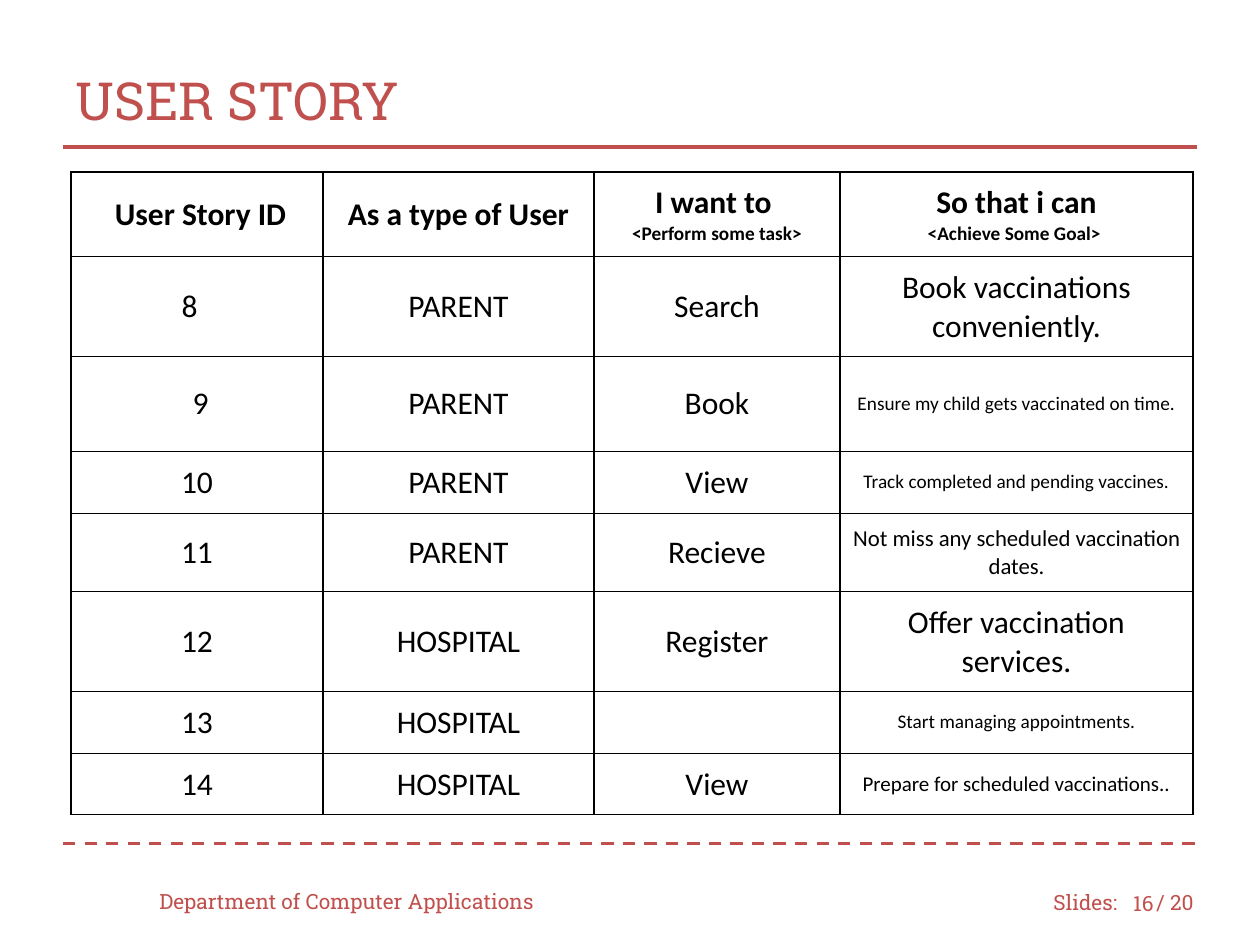
from dataclasses import dataclass

import pptx
import pptx.dml.color
import pptx.enum.dml
import pptx.enum.shapes
import pptx.enum.text
import pptx.oxml
import pptx.oxml.ns
import pptx.util
from lxml import etree

EMU_PER_PX = 914400 / 126
COLORS = {"accent": "C0504D", "ink": "000000", "paper": "FFFFFF"}
HEADING_FONT, TABLE_FONT = "Roboto Slab", "Calibri"
ALIGN = pptx.enum.text.PP_ALIGN
MIDDLE = pptx.enum.text.MSO_ANCHOR.MIDDLE
CELL_MARGIN = 12


@dataclass
class Label:
    text: str
    left: int
    top: int
    width: int
    height: int = 50
    size: int = 12
    align: ALIGN = ALIGN.LEFT


@dataclass
class Rule:
    y: int
    dashed: bool = False


@dataclass
class Story:
    number: str
    user: str
    task: str
    goal: str
    goal_size: int
    height: int
    number_shift: int = 0  # extra right margin of the first cell


LABELS = [
    Label("USER STORY", 63, 42, 1134, 116, 30),
    Label("Department of Computer Applications", 147, 876, 420),
    Label("Slides:", 1041, 877, 95),
    Label("16", 1113, 878, 53, align=ALIGN.RIGHT),
    Label("/ 20", 1144, 877, 73),
]
RULES = [Rule(147), Rule(844, dashed=True)]

TABLE_LEFT, TABLE_TOP = 71, 172
COLUMN_WIDTHS = [252, 271, 246, 353]
HEADER_HEIGHT = 78
HEADERS = [
    [(" User Story ID", 18)],
    [("As a type of User", 18)],
    [("I want to ", 18), ("<Perform some task>", 11)],
    [("So that i can", 18), ("<Achieve Some Goal> ", 11)],
]
STORIES = [
    Story("8", "PARENT", "Search", "Book vaccinations conveniently.", 18, 86, 15),
    Story(" 9", "PARENT", "Book", "Ensure my child gets vaccinated on time.", 11, 95),
    Story("10", "PARENT", "View", "Track completed and pending vaccines.", 11, 55),
    Story("11", "PARENT", "Recieve", "Not miss any scheduled vaccination dates.", 13, 55),
    Story("12", "HOSPITAL", "Register", "Offer vaccination services.", 18, 72),
    Story("13", "HOSPITAL", "", "Start managing appointments.", 11, 59),
    Story("14", "HOSPITAL", "View", "Prepare for scheduled vaccinations..", 12, 55),
]


def px(value: int) -> int:
    return round(value * EMU_PER_PX)


def rgb(name: str) -> pptx.dml.color.RGBColor:
    return pptx.dml.color.RGBColor.from_string(COLORS[name])


def add_run(p, text: str, size: int, font: str, color: str, bold: bool = False) -> None:
    r = p.add_run()
    r.text = text
    r.font.size = pptx.util.Pt(size)
    r.font.name = font
    r.font.bold = bold
    r.font.color.rgb = rgb(color)


def add_label(s, label: Label) -> None:
    sp = s.shapes.add_textbox(*map(px, (label.left, label.top, label.width, label.height)))
    tf = sp.text_frame
    tf.word_wrap = True
    tf.vertical_anchor = MIDDLE
    p = tf.paragraphs[0]
    p.alignment = label.align
    add_run(p, label.text, label.size, HEADING_FONT, "accent")


def add_rule(s, rule: Rule) -> None:
    line = s.shapes.add_connector(
        pptx.enum.shapes.MSO_CONNECTOR.STRAIGHT,
        px(63), px(rule.y), px(1197), px(rule.y))
    line.line.color.rgb = rgb("accent")
    line.line.width = pptx.util.Pt(1.75)
    if rule.dashed:
        line.line.dash_style = pptx.enum.dml.MSO_LINE.DASH
    etree.SubElement(line._element.spPr, pptx.oxml.ns.qn("a:effectLst"))


def add_borders(cell) -> None:
    """Draw a thin line on all four sides; borders must precede the fill."""
    props = cell._tc.get_or_add_tcPr()
    for index, side in enumerate(("lnL", "lnR", "lnT", "lnB")):
        props.insert(index, pptx.oxml.parse_xml(
            f'<a:{side} {pptx.oxml.ns.nsdecls("a")} w="{pptx.util.Pt(0.75)}">'
            f'<a:solidFill><a:srgbClr val="{COLORS["ink"]}"/></a:solidFill></a:{side}>'))


def fill_cell(cell, lines: list[tuple[str, int]], bold: bool = False, shift: int = 0) -> None:
    cell.fill.solid()
    cell.fill.fore_color.rgb = rgb("paper")
    add_borders(cell)
    cell.vertical_anchor = MIDDLE
    cell.margin_left = cell.margin_top = cell.margin_bottom = px(CELL_MARGIN)
    cell.margin_right = px(CELL_MARGIN + shift)
    tf = cell.text_frame
    for index, (text, size) in enumerate(lines):
        p = tf.add_paragraph() if index else tf.paragraphs[0]
        p.alignment = ALIGN.CENTER
        if text:
            add_run(p, text, size, TABLE_FONT, "ink", bold)


def add_story_table(s) -> None:
    heights = [HEADER_HEIGHT] + [story.height for story in STORIES]
    table = s.shapes.add_table(
        len(heights), len(COLUMN_WIDTHS), px(TABLE_LEFT), px(TABLE_TOP),
        px(sum(COLUMN_WIDTHS)), px(sum(heights))).table
    table.horz_banding = False
    for column, width in zip(table.columns, COLUMN_WIDTHS):
        column.width = px(width)
    for row, height in zip(table.rows, heights):
        row.height = px(height)
    for col, lines in enumerate(HEADERS):
        fill_cell(table.cell(0, col), lines, bold=True)
    for row, story in enumerate(STORIES, 1):
        fill_cell(table.cell(row, 0), [(story.number, 18)], shift=story.number_shift)
        fill_cell(table.cell(row, 1), [(story.user, 18)])
        fill_cell(table.cell(row, 2), [(story.task, 18)])
        fill_cell(table.cell(row, 3), [(story.goal, story.goal_size)])


def main() -> None:
    prs = pptx.Presentation()
    prs.slide_width, prs.slide_height = px(1260), px(945)
    s = prs.slides.add_slide(prs.slide_layouts[6])
    for rule in RULES:
        add_rule(s, rule)
    for label in LABELS:
        add_label(s, label)
    add_story_table(s)
    prs.save("out.pptx")


if __name__ == "__main__":
    main()
